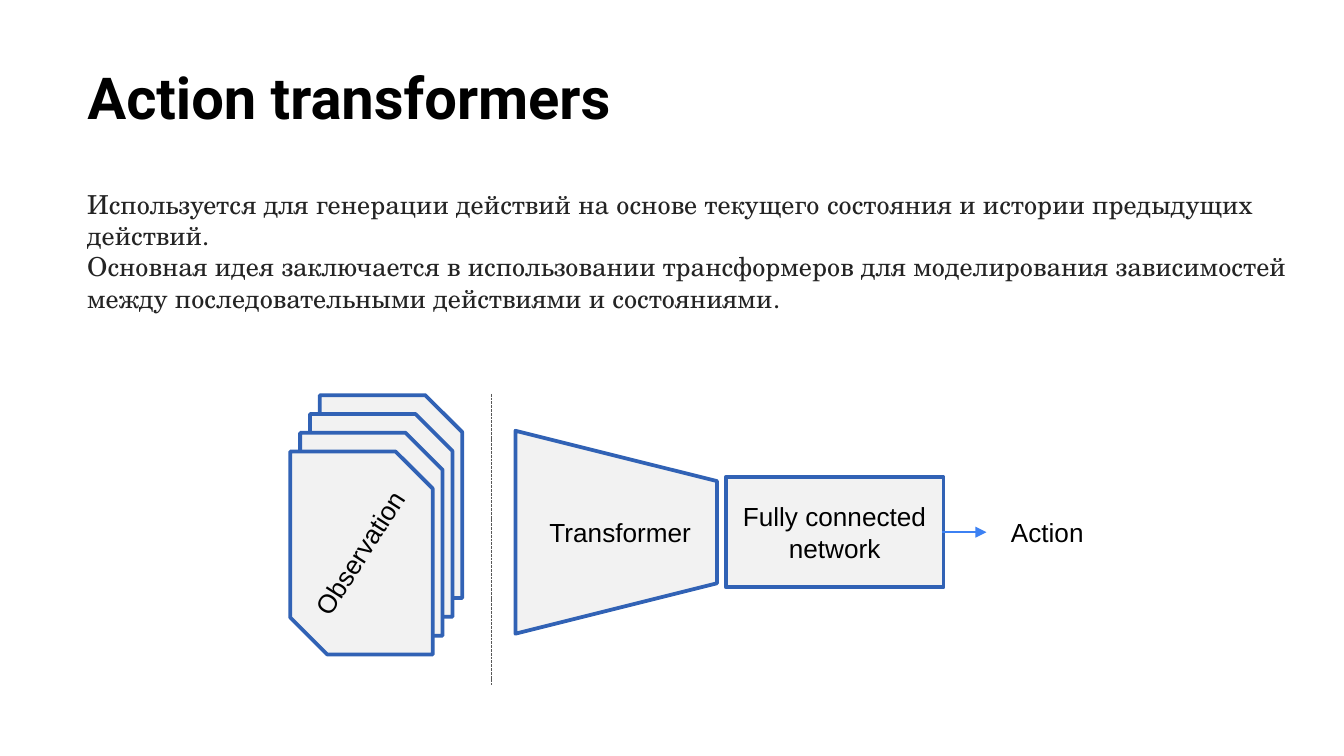
"""Build the "Action transformers" slide."""
from dataclasses import dataclass

from lxml import etree
from pptx import Presentation
from pptx.dml.color import RGBColor
from pptx.enum.dml import MSO_LINE
from pptx.enum.shapes import MSO_CONNECTOR, MSO_SHAPE
from pptx.enum.text import MSO_ANCHOR, MSO_AUTO_SIZE, PP_ALIGN
from pptx.oxml.ns import qn
from pptx.util import Inches, Pt

RECTANGLE = MSO_SHAPE.RECTANGLE
TRAPEZOID = MSO_SHAPE.TRAPEZOID
SNIPPED = MSO_SHAPE.SNIP_2_DIAG_RECTANGLE
STRAIGHT = MSO_CONNECTOR.STRAIGHT
DASH = MSO_LINE.SQUARE_DOT
LEFT, CENTER = PP_ALIGN.LEFT, PP_ALIGN.CENTER
TOP, MIDDLE = MSO_ANCHOR.TOP, MSO_ANCHOR.MIDDLE
NO_AUTOFIT = MSO_AUTO_SIZE.NONE
TITLE_ONLY = 5
CARD_COUNT = 4


@dataclass(frozen=True)
class Theme:
    """Colours, fonts and sizes of the slide."""
    black: str = "000000"
    body_text: str = "242424"
    block_fill: str = "F2F2F2"
    block_line: str = "3162B5"
    arrow: str = "3C81F3"
    divider: str = "595959"
    title_font: str = "Roboto"
    body_font: str = "TeX Gyre Schola"
    label_font: str = "Arial"
    title_size: float = 31
    text_size: float = 14
    block_width: float = 2
    arrow_width: float = 0.75
    divider_width: float = 0.5


THEME = Theme()


def style_text(text_frame, font_name, size, color, align=LEFT, bold=False):
    """Format every paragraph of a text frame alike."""
    for paragraph in text_frame.paragraphs:
        paragraph.alignment = align
        font = paragraph.font
        font.name, font.size, font.bold = font_name, Pt(size), bold
        font.color.rgb = RGBColor.from_string(color)


def set_title(slide, text, left, top, width, height):
    """Place and format the title placeholder."""
    title = slide.shapes.title
    title.left, title.top = Inches(left), Inches(top)
    title.width, title.height = Inches(width), Inches(height)
    frame = title.text_frame
    frame.text = text
    frame.auto_size = NO_AUTOFIT
    frame.vertical_anchor = TOP
    frame.margin_left = frame.margin_right = Inches(0.1)
    frame.margin_top = frame.margin_bottom = Inches(0.1)
    style_text(frame, THEME.title_font, THEME.title_size, THEME.black, bold=True)


def add_description(slide, text, left, top, width, height):
    """Add the wrapped description, with line breaks kept in one paragraph."""
    box = slide.shapes.add_textbox(Inches(left), Inches(top), Inches(width), Inches(height))
    box.text_frame.word_wrap = True
    box.text_frame.paragraphs[0].text = text
    style_text(box.text_frame, THEME.body_font, THEME.text_size, THEME.body_text)


def add_label(slide, text, left, top, width, rotation=0, align=LEFT):
    """Add a one-line diagram label."""
    box = slide.shapes.add_textbox(Inches(left), Inches(top), Inches(width), Inches(0.34))
    box.rotation = rotation
    box.text_frame.word_wrap = False
    box.text_frame.text = text
    style_text(box.text_frame, THEME.label_font, THEME.text_size, THEME.black, align)


def add_block(slide, kind, left, top, width, height, text=""):
    """Add an outlined diagram block with optional centred text."""
    block = slide.shapes.add_shape(
        kind, Inches(left), Inches(top), Inches(width), Inches(height))
    block.shadow.inherit = False
    block.fill.solid()
    block.fill.fore_color.rgb = RGBColor.from_string(THEME.block_fill)
    block.line.color.rgb = RGBColor.from_string(THEME.block_line)
    block.line.width = Pt(THEME.block_width)
    if text:
        block.text_frame.text = text
        block.text_frame.vertical_anchor = MIDDLE
        style_text(block.text_frame, THEME.label_font, THEME.text_size, THEME.black, CENTER)
    return block


def add_observations(slide):
    """Stack the snipped observation cards from back to front."""
    for depth in reversed(range(CARD_COUNT)):
        shift = depth / (CARD_COUNT - 1)
        card = add_block(slide, SNIPPED, 2.16 + 0.22 * shift, 3.36 - 0.42 * shift, 1.06, 1.51)
        card.adjustments[0] = 0
        card.adjustments[1] = 0.26
    add_label(slide, "Observation", 2.05, 3.94, 1.26, rotation=302.7)


def add_line(slide, start, end, color, width):
    """Add a straight connector without a shadow."""
    connector = slide.shapes.add_connector(
        STRAIGHT, *(Inches(value) for value in (*start, *end)))
    connector.line.color.rgb = RGBColor.from_string(color)
    connector.line.width = Pt(width)
    etree.SubElement(connector.element.spPr, qn("a:effectLst"))
    return connector


def add_arrowhead(connector):
    """Put a triangle at the end of a connector."""
    outline = connector.element.spPr.find(qn("a:ln"))
    etree.SubElement(outline, qn("a:tailEnd"), type="triangle")


def main():
    """Build and save the slide."""
    presentation = Presentation()
    presentation.slide_width = Inches(10)
    presentation.slide_height = Inches(10) * 9 // 16
    slide = presentation.slides.add_slide(presentation.slide_layouts[TITLE_ONLY])

    set_title(slide, "Action transformers", 0.55, 0.36, 9.32, 0.6)
    add_description(
        slide,
        "Используется для генерации действий на основе текущего состояния "
        "и истории предыдущих действий. \n"
        "Основная идея заключается в использовании трансформеров для моделирования "
        "зависимостей между последовательными действиями и состояниями.",
        0.55, 1.35, 9.32, 0.81)

    add_observations(slide)
    divider = add_line(slide, (3.66, 2.93), (3.66, 5.1), THEME.divider, THEME.divider_width)
    divider.line.dash_style = DASH
    transformer = add_block(slide, TRAPEZOID, 3.83, 3.21, 1.51, 1.5)
    transformer.rotation = 90
    add_label(slide, "Transformer", 3.99, 3.79, 1.3)
    add_block(slide, RECTANGLE, 5.4, 3.55, 1.62, 0.82, "Fully connected\nnetwork")
    arrow = add_line(slide, (7.01, 3.96), (7.34, 3.96), THEME.arrow, THEME.arrow_width)
    add_arrowhead(arrow)
    add_label(slide, "Action ", 7.42, 3.79, 0.8, align=CENTER)

    presentation.save("out.pptx")


if __name__ == "__main__":
    main()
